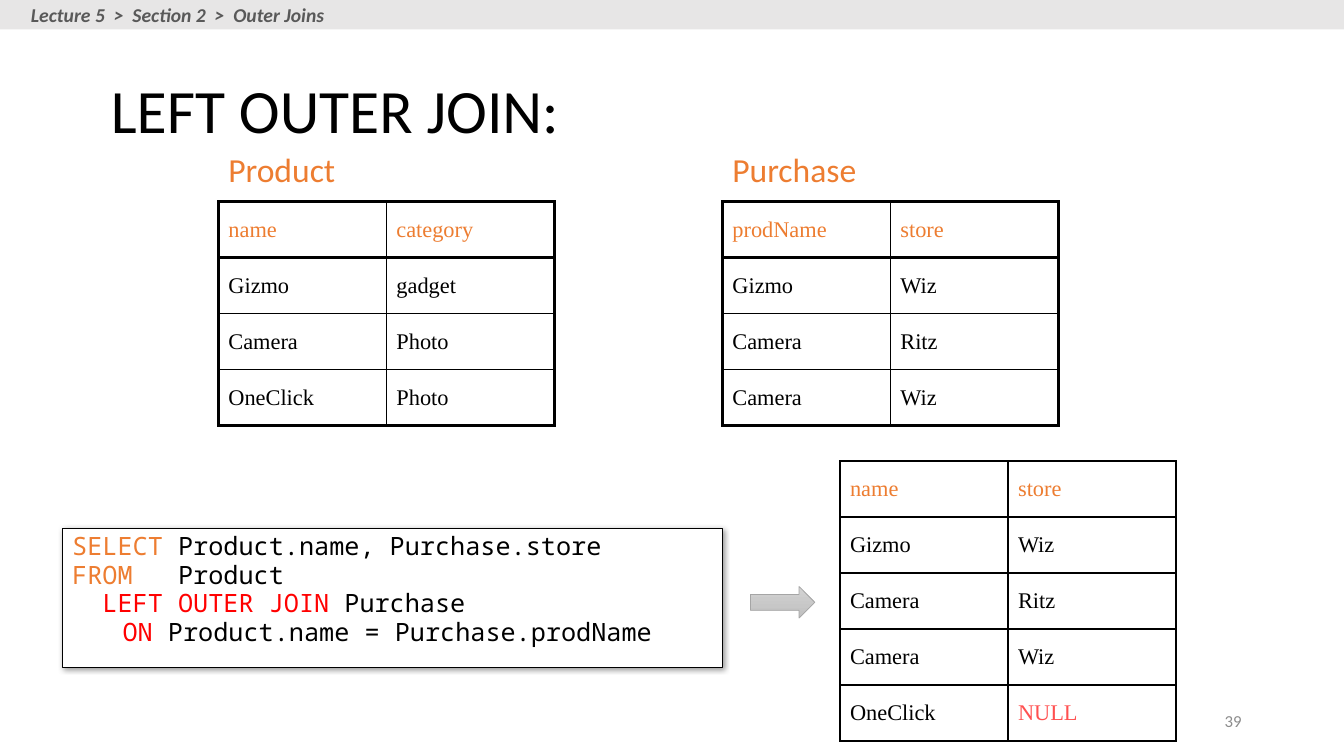
"""Build the LEFT OUTER JOIN lecture slide."""
from lxml import etree
from pptx import Presentation
from pptx import util as u
from pptx.dml.color import RGBColor
from pptx.enum import shapes, text
from pptx.oxml.ns import qn

BLACK = RGBColor(0x00, 0x00, 0x00)
WHITE = RGBColor(0xFF, 0xFF, 0xFF)
ORANGE = RGBColor(0xED, 0x7D, 0x31)
RED = RGBColor(0xFF, 0x00, 0x00)
CORAL = RGBColor(0xFF, 0x50, 0x50)
BAR = RGBColor(0xE7, 0xE6, 0xE6)
TRAIL = RGBColor(0x59, 0x59, 0x59)
FOLIO = RGBColor(0x8C, 0x8C, 0x8C)
LIGHT = RGBColor(0xD2, 0xD2, 0xD2)
DARK = RGBColor(0xC0, 0xC0, 0xC0)
EDGE = RGBColor(0xA5, 0xA5, 0xA5)

TITLE = {"name": "Calibri", "size": u.Pt(44)}
LABEL = {"name": "Calibri", "size": u.Pt(24)}
SMALL = {"name": "Calibri", "size": u.Pt(12)}
CRUMB = {"name": "Calibri", "size": u.Pt(14), "bold": True, "italic": True}
CELL = {"name": "Times New Roman", "size": u.Pt(16)}
CODE = {"name": "Noto Sans Mono", "size": u.Pt(18)}

COL, ROW = 120, 40
THIN, MID, THICK = 1, 1.5, 2.25


class Board:
    def __init__(self, deck):
        self.slide = deck.slides.add_slide(deck.slide_layouts[5])
        self.shapes = self.slide.shapes

    def ink(self, para, words, style, color):
        run = para.add_run()
        run.text = words
        for key, value in style.items():
            setattr(run.font, key, value)
        run.font.color.rgb = color

    def title(self, words, box):
        head = self.shapes.title
        for key, value in zip(("left", "top", "width", "height"), box):
            setattr(head, key, u.Pt(value))
        frame = head.text_frame
        frame.auto_size = text.MSO_AUTO_SIZE.NONE
        frame.vertical_anchor = text.MSO_ANCHOR.MIDDLE
        para = frame.paragraphs[0]
        para.alignment = text.PP_ALIGN.LEFT
        para.line_spacing = 0.9
        self.ink(para, words, TITLE, BLACK)

    def label(self, words, box, style, color, align=text.PP_ALIGN.LEFT,
              anchor=text.MSO_ANCHOR.TOP, wrap=False):
        frame = self.shapes.add_textbox(*map(u.Pt, box)).text_frame
        frame.word_wrap = wrap
        frame.vertical_anchor = anchor
        para = frame.paragraphs[0]
        para.alignment = align
        self.ink(para, words, style, color)

    def shape(self, kind, box, fill=None, line=None, width=0.75):
        form = self.shapes.add_shape(kind, *map(u.Pt, box))
        form.shadow.inherit = False
        if fill:
            form.fill.solid()
            form.fill.fore_color.rgb = fill
        if line is None:
            form.line.fill.background()
        else:
            form.line.color.rgb = line
            form.line.width = u.Pt(width)
        return form

    def arrow(self, box):
        form = self.shape(shapes.MSO_SHAPE.RIGHT_ARROW, box, line=EDGE, width=0.5)
        form.fill.gradient()
        form.fill.gradient_angle = 270
        for stop, color, place in zip(form.fill.gradient_stops, (LIGHT, DARK), (0, 1)):
            stop.color.rgb = color
            stop.position = place

    def shade(self, form):
        effects = form._element.spPr.find(qn("a:effectLst"))
        outer = etree.SubElement(effects, qn("a:outerShdw"), blurRad=str(u.Pt(4)),
                                 dist=str(u.Pt(1)), dir="2700000", algn="tl", rotWithShape="0")
        tint = etree.SubElement(outer, qn("a:srgbClr"), val=str(BLACK))
        etree.SubElement(tint, qn("a:alpha"), val="40000")

    def code(self, lines, box):
        form = self.shape(shapes.MSO_SHAPE.RECTANGLE, box, WHITE, BLACK)
        self.shade(form)
        frame = form.text_frame
        frame.word_wrap = True
        frame.vertical_anchor = text.MSO_ANCHOR.TOP
        for index, parts in enumerate(lines):
            para = frame.add_paragraph() if index else frame.paragraphs[0]
            para.alignment = text.PP_ALIGN.LEFT
            para.line_spacing = 0.9
            para.space_before = u.Pt(1 if index else 0)
            for words, color in parts:
                self.ink(para, words, CODE, color)

    def border(self, cell, sides):
        props = cell._tc.get_or_add_tcPr()
        for side, width in zip("LRTB", sides):
            line = etree.SubElement(props, qn(f"a:ln{side}"), w=str(u.Pt(width)))
            fill = etree.SubElement(line, qn("a:solidFill"))
            etree.SubElement(fill, qn("a:srgbClr"), val=str(BLACK))

    def table(self, rows, left, top, inner, outer):
        high, wide = len(rows), len(rows[0])
        box = map(u.Pt, (left, top, COL * wide, ROW * high))
        grid = self.shapes.add_table(high, wide, *box).table
        grid.first_row = grid.horz_banding = False
        for r, row in enumerate(rows):
            grid.rows[r].height = u.Pt(ROW)
            for c, words in enumerate(row):
                cell = grid.cell(r, c)
                edges = (c == 0, c == wide - 1, r < 2, r in (0, high - 1))
                self.border(cell, [outer if edge else inner for edge in edges])
                cell.fill.background()
                cell.vertical_anchor = text.MSO_ANCHOR.MIDDLE
                color = ORANGE if r == 0 else CORAL if words == "NULL" else BLACK
                self.ink(cell.text_frame.paragraphs[0], words, CELL, color)


def main():
    deck = Presentation()
    deck.slide_width, deck.slide_height = u.Pt(960), u.Pt(540)
    board = Board(deck)

    board.title("LEFT OUTER JOIN:", (72, 36, 648, 90))
    board.shape(shapes.MSO_SHAPE.RECTANGLE, (0, 0, 960, 21), BAR)
    board.label("Lecture 5  >  Section 2  >  Outer Joins", (15, -1.4, 228, 24.5), CRUMB, TRAIL)

    product = [("name", "category"), ("Gizmo", "gadget"),
               ("Camera", "Photo"), ("OneClick", "Photo")]
    buys = [("prodName", "store"), ("Gizmo", "Wiz"), ("Camera", "Ritz"), ("Camera", "Wiz")]
    joined = [("name", "store"), *buys[1:], ("OneClick", "NULL")]
    for name, rows, left, width in (("Product", product, 156, 91.5),
                                    ("Purchase", buys, 516, 104.5)):
        board.label(name, (left, 102.5, width, 36), LABEL, ORANGE)
        board.table(rows, left, 144, THIN, THICK)
    board.table(joined, 600, 329.3, MID, MID)

    board.code([
        [("SELECT ", ORANGE), ("Product.name, Purchase.store", BLACK)],
        [("FROM", ORANGE), ("   Product", BLACK)],
        [("  ", ORANGE), ("LEFT OUTER JOIN ", RED), ("Purchase", BLACK)],
        [("\tON ", RED), ("Product.name = Purchase.prodName", BLACK)],
    ], (44.5, 377.7, 471.6, 99))
    board.arrow((536, 419, 46, 22.5))
    board.label("39", (678, 500.5, 216, 28.75), SMALL, FOLIO,
                text.PP_ALIGN.RIGHT, text.MSO_ANCHOR.MIDDLE, True)
    deck.save("out.pptx")


if __name__ == "__main__":
    main()
